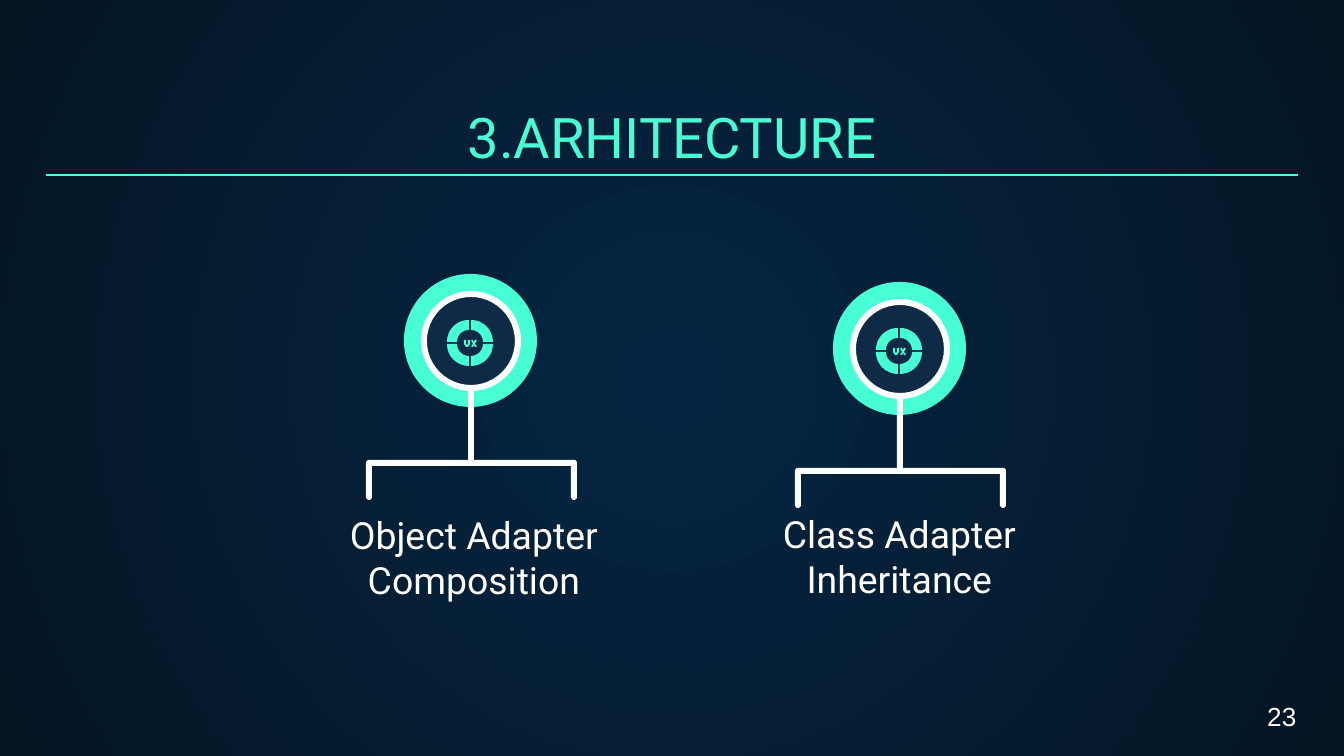
from dataclasses import dataclass
from itertools import product
from math import cos, pi, sin
from typing import NamedTuple

from lxml.etree import SubElement
from pptx import Presentation
from pptx.dml.color import RGBColor
from pptx.enum.shapes import MSO_CONNECTOR, MSO_SHAPE
from pptx.enum.text import MSO_ANCHOR, MSO_AUTO_SIZE, PP_ALIGN
from pptx.oxml.ns import qn
from pptx.shapes.autoshape import Shape
from pptx.shapes.shapetree import GroupShapes, SlideShapes
from pptx.slide import Slide
from pptx.util import Emu, Pt

EMU_PER_PX = 914400 / 134.4


@dataclass(frozen=True)
class Theme:
    mint: RGBColor = RGBColor(0x48, 0xFF, 0xD5)
    white: RGBColor = RGBColor(0xFF, 0xFF, 0xFF)
    navy: RGBColor = RGBColor(0x0E, 0x2A, 0x47)
    glow: RGBColor = RGBColor(0x05, 0x26, 0x43)
    edge: RGBColor = RGBColor(0x04, 0x15, 0x23)
    heading_font: str = "Roboto"
    number_font: str = "Arial"
    title_size: int = 30
    label_size: int = 20
    number_size: int = 14
    rule_width: float = 0.75


THEME = Theme()


class Point(NamedTuple):
    x: int
    y: int


class Area(NamedTuple):
    left: int
    top: int
    width: int
    height: int


class Adapter(NamedTuple):
    label: str
    label_area: Area
    icon: Point


ADAPTERS = (
    Adapter("Object Adapter Composition", Area(278, 575, 392, 40), Point(404, 274)),
    Adapter("Class Adapter Inheritance", Area(747, 586, 305, 28), Point(833, 282)),
)

# Outlines in px, relative to their own top left corner
BRACKET = ((0, 2), (2, 0), (209, 0), (211, 2), (211, 38), (209, 40), (207, 40),
           (205, 38), (205, 6), (6, 6), (6, 38), (4, 40), (2, 40), (0, 38))
LETTER_U = ((0, 0), (0, 4), (2, 7), (4, 7), (6, 4), (6, 0), (4, 0), (4, 4),
            (3, 5), (2, 4), (2, 0))
LETTER_X = ((0, 0), (2, 4), (0, 7), (2, 7), (3, 5), (4, 7), (6, 7), (4, 4),
            (6, 0), (4, 0), (3, 2), (2, 0))


def px(length: float) -> Emu:
    return Emu(round(length * EMU_PER_PX))


def paint(shape: Shape, color: RGBColor) -> None:
    shape.shadow.inherit = False
    shape.fill.solid()
    shape.fill.fore_color.rgb = color
    shape.line.fill.background()


def add_preset(shapes: SlideShapes, kind: MSO_SHAPE, area: Area, color: RGBColor) -> Shape:
    shape = shapes.add_shape(kind, *map(px, area))
    paint(shape, color)
    return shape


def add_outline(shapes: SlideShapes | GroupShapes, corner: Point, points, color: RGBColor) -> None:
    placed = [(px(corner.x + x), px(corner.y + y)) for x, y in points]
    builder = shapes.build_freeform(*placed[0])
    builder.add_line_segments(placed[1:], close=True)
    paint(builder.convert_to_shape(), color)


def quarter_ring(side_x: int, side_y: int, inner: int = 13, outer: int = 23,
                 gap: int = 1, steps: int = 12) -> list[tuple[float, float]]:
    """Points of one ring quarter around (0, 0), set back from both axes by the gap."""
    angles = [pi / 2 * step / steps for step in range(steps + 1)]
    arc = [(outer, angle) for angle in angles] + [(inner, angle) for angle in reversed(angles)]
    return [(side_x * (gap + (radius - gap) * cos(angle)),
             side_y * (gap + (radius - gap) * sin(angle))) for radius, angle in arc]


def write(box: Shape, text: str, align: PP_ALIGN, anchor: MSO_ANCHOR,
          font_format: dict, color: RGBColor) -> None:
    frame = box.text_frame
    frame_format = {"word_wrap": True, "auto_size": MSO_AUTO_SIZE.NONE,
                    "vertical_anchor": anchor}
    if anchor == MSO_ANCHOR.BOTTOM:
        frame_format |= {f"margin_{side}": px(13) for side in ("left", "top", "right", "bottom")}
    for name, value in frame_format.items():
        setattr(frame, name, value)
    para = frame.paragraphs[0]
    para.alignment = align
    span = para.add_run()
    span.text = text
    for name, value in font_format.items():
        setattr(span.font, name, value)
    span.font.color.rgb = color


def set_background(page: Slide) -> None:
    fill = page.background.fill
    fill.gradient()
    for stop, color in zip(fill.gradient_stops, (THEME.glow, THEME.edge)):
        stop.color.rgb = color
    gradient = page.element.find(".//" + qn("a:gradFill"))
    gradient.remove(gradient.find(qn("a:lin")))
    radial = SubElement(gradient, qn("a:path"), path="circle")
    SubElement(radial, qn("a:fillToRect"), dict.fromkeys("ltrb", "50000"))


def add_title(page: Slide) -> None:
    title = page.shapes.title
    for name, value in zip(("left", "top", "width", "height"), Area(46, 94, 1252, 89)):
        setattr(title, name, px(value))
    write(title, "3.ARHITECTURE", PP_ALIGN.CENTER, MSO_ANCHOR.BOTTOM,
          {"name": THEME.heading_font, "size": Pt(THEME.title_size)}, THEME.mint)
    rule = page.shapes.add_connector(MSO_CONNECTOR.STRAIGHT, px(46), px(175), px(1298), px(175))
    rule.line.color.rgb = THEME.mint
    rule.line.width = Pt(THEME.rule_width)
    SubElement(rule.element.spPr, qn("a:effectLst"))


def add_icon(shapes: SlideShapes, icon: Point) -> None:
    def area(left: int, top: int, width: int, height: int) -> Area:
        return Area(icon.x + left, icon.y + top, width, height)

    def point(x: int, y: int) -> Point:
        return Point(icon.x + x, icon.y + y)

    add_preset(shapes, MSO_SHAPE.OVAL, area(0, 0, 133, 133), THEME.mint)
    add_outline(shapes, point(-38, 186), BRACKET, THEME.white)
    stem = add_preset(shapes, MSO_SHAPE.ROUNDED_RECTANGLE, area(64, 57, 6, 134), THEME.white)
    stem.adjustments[0] = 0.5
    add_preset(shapes, MSO_SHAPE.OVAL, area(20, 20, 94, 94), THEME.navy)
    ring = add_preset(shapes, MSO_SHAPE.DONUT, area(17, 17, 100, 100), THEME.white)
    ring.adjustments[0] = 0.06

    badge = shapes.add_group_shape().shapes
    for side_y, side_x in product((1, -1), (-1, 1)):
        add_outline(badge, point(66, 69), quarter_ring(side_x, side_y), THEME.mint)
    add_outline(badge, point(60, 66), LETTER_U, THEME.mint)
    add_outline(badge, point(67, 66), LETTER_X, THEME.mint)


def add_adapter(page: Slide, adapter: Adapter) -> None:
    box = page.shapes.add_textbox(*map(px, adapter.label_area))
    write(box, adapter.label, PP_ALIGN.CENTER, MSO_ANCHOR.BOTTOM,
          {"name": THEME.heading_font, "size": Pt(THEME.label_size)}, THEME.white)
    add_icon(page.shapes, adapter.icon)


def add_page_number(page: Slide) -> None:
    box = page.shapes.add_textbox(*map(px, Area(1254, 694, 90, 46)))
    write(box, "23", PP_ALIGN.LEFT, MSO_ANCHOR.TOP,
          {"name": THEME.number_font, "size": Pt(THEME.number_size)}, THEME.white)


def main() -> None:
    deck = Presentation()
    deck.slide_width, deck.slide_height = px(1344), px(756)
    page = deck.slides.add_slide(deck.slide_layouts[5])
    set_background(page)
    add_title(page)
    for adapter in ADAPTERS:
        add_adapter(page, adapter)
    add_page_number(page)
    deck.save("out.pptx")


if __name__ == "__main__":
    main()
